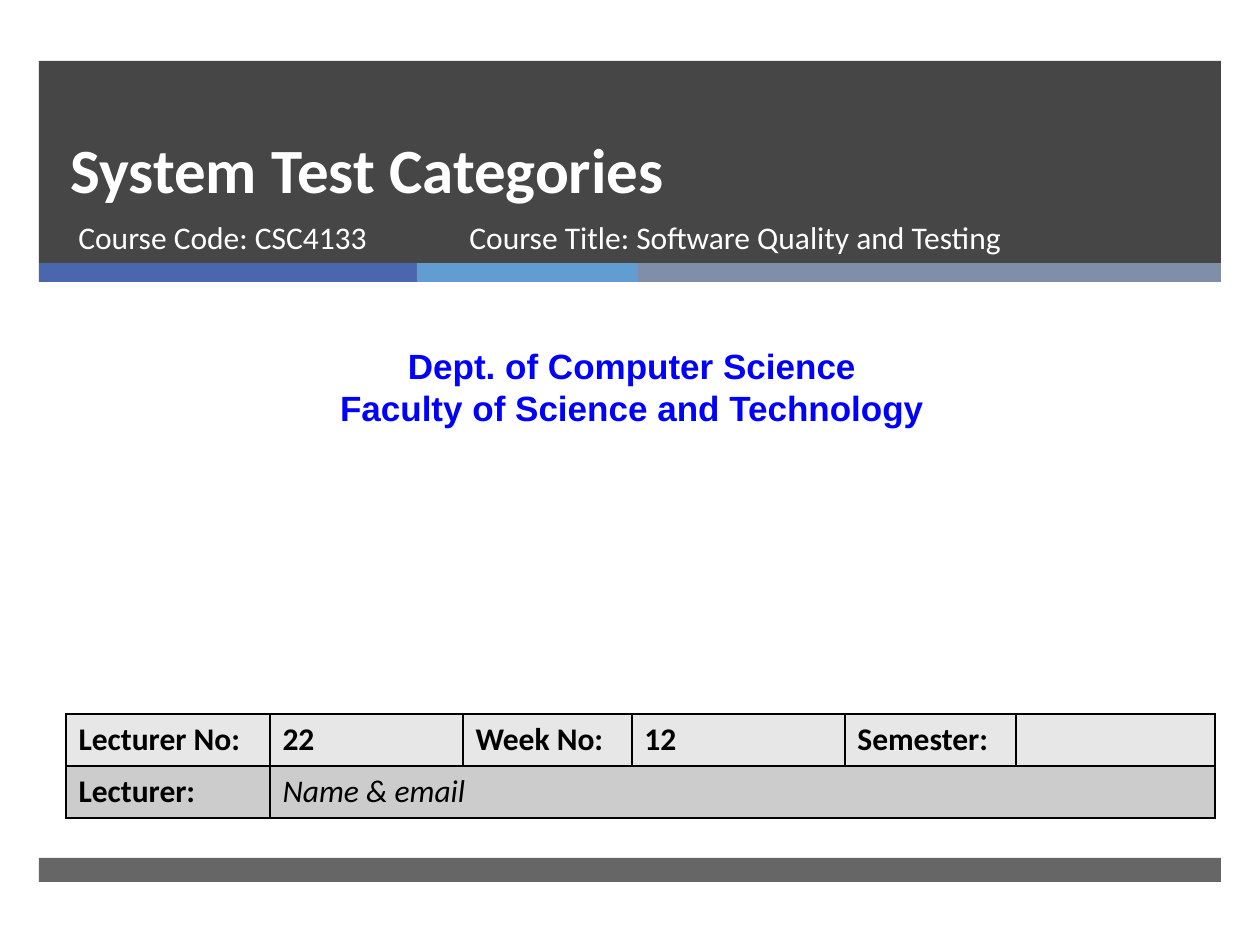
from pptx import Presentation
from pptx.dml.color import RGBColor
from pptx.enum.shapes import MSO_SHAPE
from pptx.enum.text import MSO_ANCHOR, PP_ALIGN
from pptx.oxml import parse_xml
from pptx.oxml.ns import nsdecls, qn
from pptx.util import Pt
from lxml.etree import SubElement

EMU_PER_PIXEL = 914400 / 126
COLORS = {
    "white": "FFFFFF", "black": "000000", "dark": "262626",
    "blue": "4A66AC", "sky": "629DD1", "slate": "7F8FA9",
    "department": "0000FF", "light row": "E7E7E7", "gray row": "CCCCCC",
}


def px(length):
    return round(length * EMU_PER_PIXEL)


def rgb(name):
    return RGBColor.from_string(COLORS[name])


def write_text(frame, lines, size=18, font="Calibri", color="white", bold=False,
               italic=False, align=PP_ALIGN.LEFT, spacing=None):
    for index, line in enumerate(lines):
        para = frame.add_paragraph() if index else frame.paragraphs[0]
        para.alignment = align
        if spacing:
            para.line_spacing = Pt(spacing)
        span = para.add_run()
        span.text = line
        span.font.size, span.font.name = Pt(size), font
        span.font.bold, span.font.italic = bold, italic
        span.font.color.rgb = rgb(color)


class SlideBuilder:
    def __init__(self, page):
        self.page = page

    def bar(self, left, top, width, height, color, opacity=100):
        shape = self.page.shapes.add_shape(
            MSO_SHAPE.RECTANGLE, px(left), px(top), px(width), px(height))
        shape.shadow.inherit = False
        shape.line.fill.background()
        shape.fill.solid()
        shape.fill.fore_color.rgb = rgb(color)
        if opacity < 100:
            fill_color = shape.fill._xPr.find(qn("a:solidFill"))[0]
            SubElement(fill_color, qn("a:alpha")).set("val", str(opacity * 1000))

    def text(self, left, top, width, height, lines, anchor=MSO_ANCHOR.TOP, **style):
        box = self.page.shapes.add_textbox(px(left), px(top), px(width), px(height))
        box.text_frame.word_wrap = True
        box.text_frame.vertical_anchor = anchor
        write_text(box.text_frame, lines, **style)

    def table(self, left, top, widths, row_height, rows, fills):
        table = self.page.shapes.add_table(
            len(rows), len(widths), px(left), px(top),
            px(sum(widths)), px(row_height * len(rows))).table
        for column, width in zip(table.columns, widths):
            column.width = px(width)
        for row_index, (row, fill) in enumerate(zip(rows, fills)):
            table.rows[row_index].height = px(row_height)
            for column_index in range(len(widths)):
                cell = table.cell(row_index, column_index)
                self.border(cell)
                cell.fill.solid()
                cell.fill.fore_color.rgb = rgb(fill)
                if column_index < len(row) and row[column_index]:
                    label, style = row[column_index]
                    write_text(cell.text_frame, [label], color="black", **style)
        return table

    def border(self, cell):
        properties = cell._tc.get_or_add_tcPr()
        for side in ("lnL", "lnR", "lnT", "lnB"):
            properties.append(parse_xml(
                f'<a:{side} {nsdecls("a")} w="12700"><a:solidFill>'
                f'<a:srgbClr val="{COLORS["black"]}"/></a:solidFill></a:{side}>'))


deck = Presentation()
deck.slide_width, deck.slide_height = px(1260), px(945)
slide = SlideBuilder(deck.slides.add_slide(deck.slide_layouts[6]))

# Header band, accent strip and footer band
slide.bar(39, 61, 1182, 202, "dark", opacity=85)
strip_left = 39
for strip_width, strip_color in ((378, "blue"), (221, "sky"), (583, "slate")):
    slide.bar(strip_left, 263, strip_width, 19, strip_color)
    strip_left += strip_width
slide.bar(39, 858, 1182, 24, "dark", opacity=70)

# Title and course details
slide.text(58, 110, 1076, 102, ["System Test Categories"],
           anchor=MSO_ANCHOR.BOTTOM, size=36, bold=True, spacing=46)
slide.text(66, 212, 384, 67, ["Course Code: CSC4133"])
slide.text(457, 212, 573, 67, ["Course Title: Software Quality and Testing"])

# Department
slide.text(10, 338, 1244, 97,
           ["Dept. of Computer Science", "Faculty of Science and Technology"],
           size=20, font="Arial", color="department", bold=True,
           align=PP_ALIGN.CENTER)

# Lecture details
strong, slanted = {"bold": True}, {"italic": True}
lecture_row = [(label, strong) for label in
               ("Lecturer No:", "22", "Week No:", "12", "Semester:")]
lecturer_row = [("Lecturer:", strong), ("Name & email", slanted)]
details = slide.table(66, 714, (204, 193, 169, 213, 171, 199), 52,
                      [lecture_row, lecturer_row], ["light row", "gray row"])
details.cell(1, 1).merge(details.cell(1, 5))

deck.save("out.pptx")
